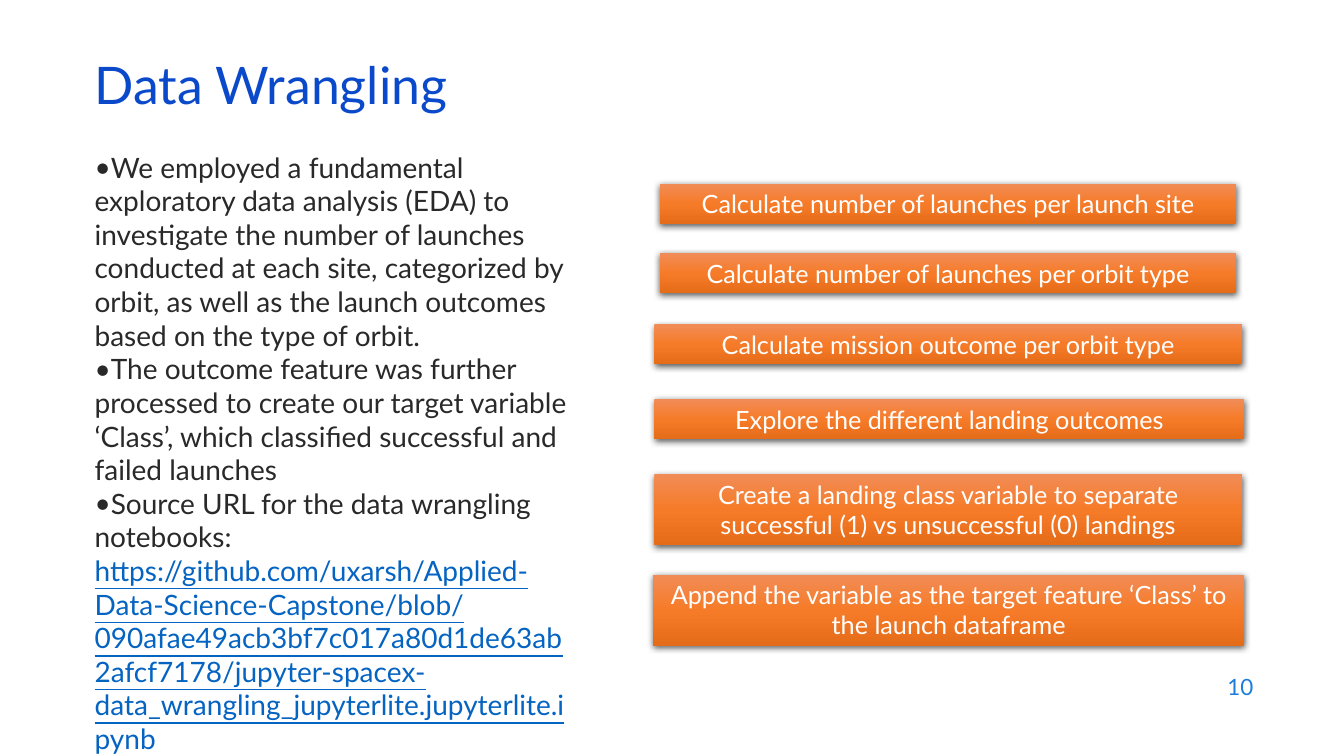
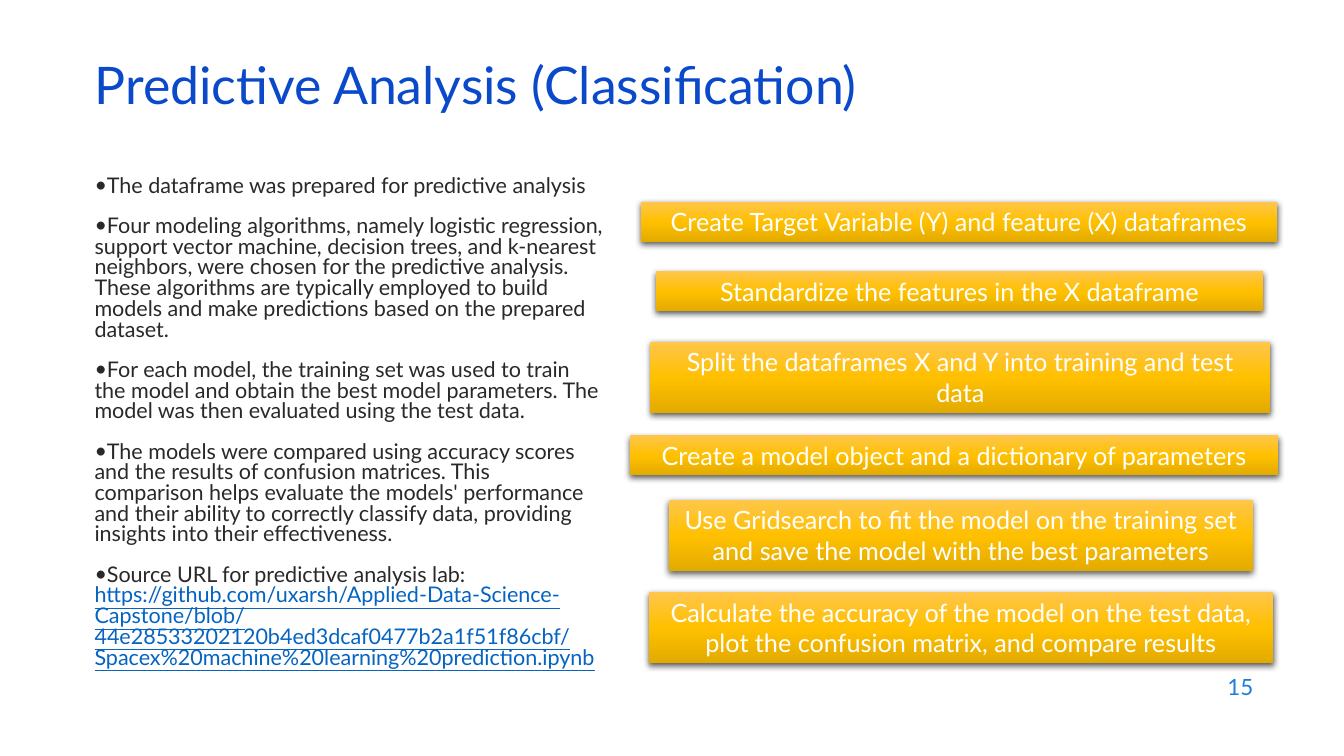
from dataclasses import dataclass

from lxml.etree import SubElement
from pptx import Presentation
from pptx.dml.color import RGBColor as RGB
from pptx.enum.shapes import MSO_SHAPE as SHAPE
from pptx.enum.text import MSO_ANCHOR as ANCHOR, MSO_AUTO_SIZE as FIT, PP_ALIGN as ALIGN
from pptx.oxml.ns import qn
from pptx.util import Inches, Pt


@dataclass(frozen=True)
class Theme:
    font: str = "Lato"
    title: str = "0B49CB"
    body: str = "292929"
    link: str = "0563C1"
    number: str = "1C7DDB"
    box_text: str = "FFFFFF"
    shadow: str = "000000"
    orange: tuple = ("F18C57", "F67B28", "E56C19")
    gold: tuple = ("FFC64B", "FFC000", "E3AB00")
    title_size: float = 37
    number_size: float = 16
    box_size: float = 18


class Deck:
    left = 6.3

    def __init__(self, theme):
        self.theme = theme
        self.prs = Presentation()
        self.prs.slide_width = Inches(13.33)
        self.prs.slide_height = Inches(7.5)
        self.s = None

    def area(self, x, y, w, h):
        col, row = self.prs.slide_width / 100, self.prs.slide_height / 100
        return int(x * col), int(y * row), int(w * col), int(h * row)

    def run(self, p, text, size, color, underline=None):
        r = p.add_run()
        r.text = text
        r.font.name = self.theme.font
        r.font.size = Pt(size)
        r.font.color.rgb = RGB.from_string(color)
        r.font.underline = underline

    def frame(self, sp, anchor=ANCHOR.TOP, fit=FIT.NONE):
        tf = sp.text_frame
        tf.word_wrap = True
        tf.auto_size = fit
        tf.vertical_anchor = anchor
        return tf

    def slide(self, title, number):
        t = self.theme
        self.s = self.prs.slides.add_slide(self.prs.slide_layouts[5])
        sp = self.s.shapes.title
        sp.left, sp.top, sp.width, sp.height = self.area(self.left, 7.9, 86.3, 8)
        p = self.frame(sp, ANCHOR.MIDDLE).paragraphs[0]
        p.alignment = ALIGN.LEFT
        p.line_spacing = 0.8
        self.run(p, title, t.title_size, t.title)

        sp = self.s.shapes.add_textbox(*self.area(71.5, 87.9, 22.5, 5.9))
        p = self.frame(sp, ANCHOR.MIDDLE).paragraphs[0]
        p.alignment = ALIGN.RIGHT
        self.run(p, str(number), t.number_size, t.number)

    def bullets(self, top, width, height, texts, url, size, leading, gap):
        t = self.theme
        sp = self.s.shapes.add_textbox(*self.area(self.left, top, width, height))
        tf = self.frame(sp)
        for i, text in enumerate(texts):
            p = tf.add_paragraph() if i else tf.paragraphs[0]
            pPr = p._p.get_or_add_pPr()
            pPr.set("marL", "0")
            pPr.set("indent", "0")
            SubElement(pPr, qn("a:buFont")).set("typeface", t.font)
            SubElement(pPr, qn("a:buChar")).set("char", "•")
            p.line_spacing = leading
            if i:
                p.space_before = Pt(gap)
            self.run(p, text, size, t.body)
        p.add_line_break()
        self.run(p, url, size, t.link, True)

    def step(self, left, top, width, lines, text, colors):
        t = self.theme
        area = self.area(left, top, width, 1.2 + 4.1 * lines)
        sp = self.s.shapes.add_shape(SHAPE.RECTANGLE, *area)
        self.gradient(sp, colors)
        sp.line.fill.background()
        self.drop_shadow(sp)
        p = self.frame(sp, fit=FIT.SHAPE_TO_FIT_TEXT).paragraphs[0]
        p.alignment = ALIGN.CENTER
        self.run(p, text, t.box_size, t.box_text)

    def steps(self, rows, colors):
        for row in rows:
            self.step(*row, colors)

    def gradient(self, sp, colors):
        sp.fill.gradient()
        sp.fill.gradient_angle = 270
        stops = sp._element.spPr.find(".//" + qn("a:gsLst"))
        for stop in list(stops):
            stops.remove(stop)
        for i, color in enumerate(colors):
            gs = SubElement(stops, qn("a:gs"), pos=str(i * 50000))
            SubElement(gs, qn("a:srgbClr"), val=color)

    def drop_shadow(self, sp):
        sp.shadow.inherit = False
        effects = sp._element.spPr.find(qn("a:effectLst"))
        outer = SubElement(effects, qn("a:outerShdw"), blurRad=str(Pt(4.5)),
                           dist=str(Pt(1.5)), dir="5400000", rotWithShape="0")
        color = SubElement(outer, qn("a:srgbClr"), val=self.theme.shadow)
        SubElement(color, qn("a:alpha"), val="63000")


def wrangling(deck):
    deck.slide("Data Wrangling", 10)
    deck.bullets(19.2, 37.2, 63.5, [
        "We employed a fundamental exploratory data analysis (EDA) to investigate the number "
        "of launches conducted at each site, categorized by orbit, as well as the launch "
        "outcomes based on the type of orbit.",
        "The outcome feature was further processed to create our target variable ‘Class’, "
        "which classified successful and failed launches",
        "Source URL for the data wrangling notebooks:",
    ], "https://github.com/uxarsh/Applied-Data-Science-Capstone/blob/"
       "090afae49acb3bf7c017a80d1de63ab2afcf7178/"
       "jupyter-spacex-data_wrangling_jupyterlite.jupyterlite.ipynb",
        size=20, leading=1.0, gap=0)
    deck.steps([
        (49.1, 24.3, 42.9, 1, "Calculate number of launches per launch site"),
        (49.1, 33.5, 42.9, 1, "Calculate number of launches per orbit type"),
        (48.7, 42.9, 43.7, 1, "Calculate mission outcome per orbit type"),
        (48.7, 52.8, 43.9, 1, "Explore the different landing outcomes"),
        (48.7, 62.7, 43.7, 2, "Create a landing class variable to separate "
                              "successful (1) vs unsuccessful (0) landings"),
        (48.6, 76, 44, 2, "Append the variable as the target feature ‘Class’ to "
                          "the launch dataframe"),
    ], deck.theme.orange)


def prediction(deck):
    deck.slide("Predictive Analysis (Classification)", 15)
    deck.bullets(22.7, 39.4, 67.5, [
        "The dataframe was prepared for predictive analysis",
        "Four modeling algorithms, namely logistic regression, support vector machine, "
        "decision trees, and k-nearest neighbors, were chosen for the predictive analysis. "
        "These algorithms are typically employed to build models and make predictions based "
        "on the prepared dataset.",
        "For each model, the training set was used to train the model and obtain the best "
        "model parameters. The model was then evaluated using the test data.",
        "The models were compared using accuracy scores and the results of confusion "
        "matrices. This comparison helps evaluate the models' performance and their ability "
        "to correctly classify data, providing insights into their effectiveness.",
        "Source URL for predictive analysis lab:",
    ], "https://github.com/uxarsh/Applied-Data-Science-Capstone/blob/"
       "44e28533202120b4ed3dcaf0477b2a1f51f86cbf/"
       "Spacex%20machine%20learning%20prediction.ipynb",
        size=15.4, leading=0.8, gap=14)
    deck.steps([
        (47.7, 26.7, 47.3, 1, "Create Target Variable (Y) and feature (X) dataframes"),
        (48.8, 35.9, 45.2, 1, "Standardize the features in the X dataframe"),
        (48.4, 45.2, 46.1, 2, "Split the dataframes X and Y into training and test data"),
        (46.9, 57.6, 48.2, 1, "Create a model object and a dictionary of parameters"),
        (49.8, 66.1, 43.4, 2, "Use Gridsearch to fit the model on the training set "
                              "and save the model with the best parameters"),
        (48.3, 78.3, 46.4, 2, "Calculate the accuracy of the model on the test data, "
                              "plot the confusion matrix, and compare results"),
    ], deck.theme.gold)


def main():
    deck = Deck(Theme())
    wrangling(deck)
    prediction(deck)
    deck.prs.save("out.pptx")


if __name__ == "__main__":
    main()
